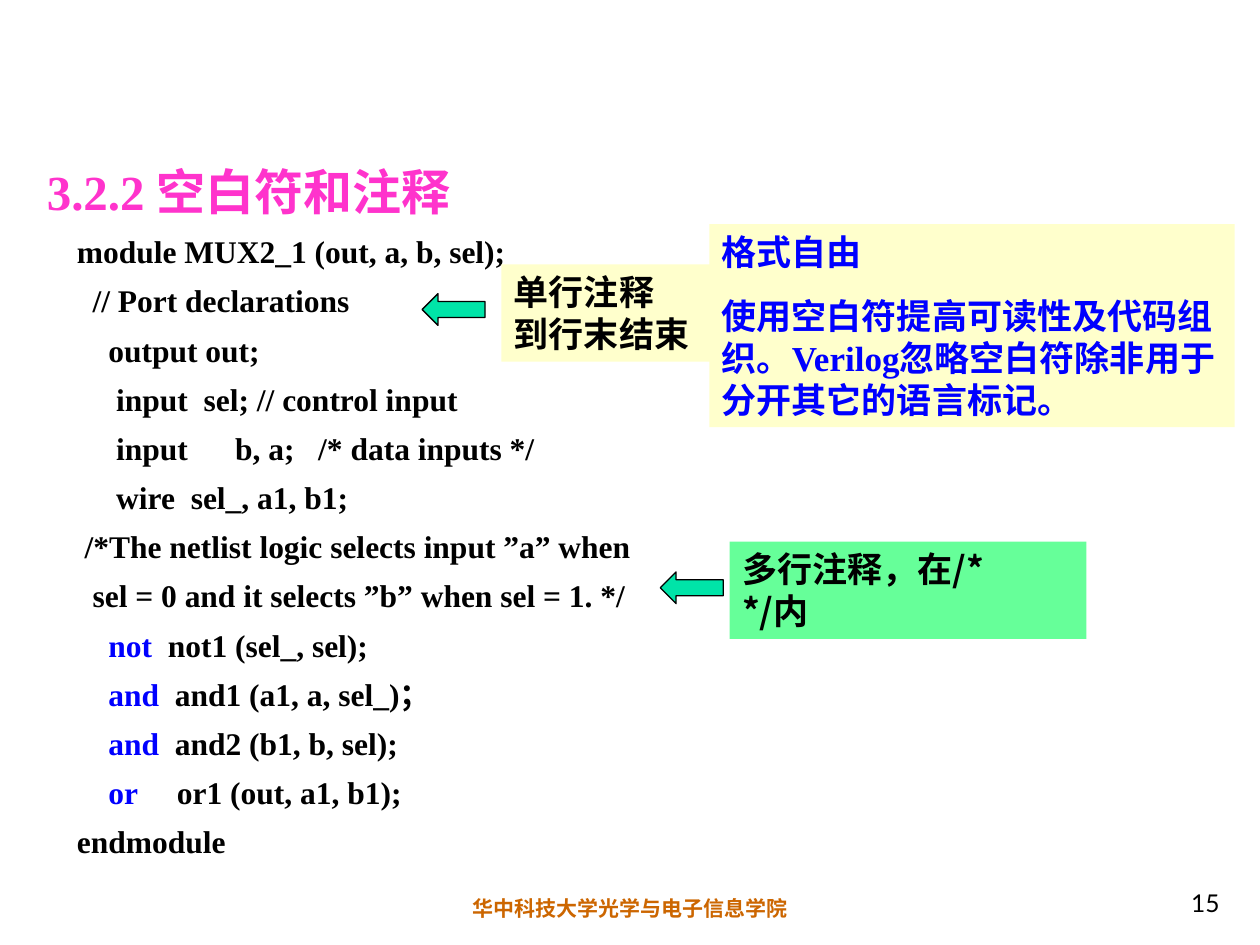
from lxml import etree
from pptx import Presentation
from pptx.dml.color import RGBColor
from pptx.enum.shapes import MSO_SHAPE
from pptx.enum.text import MSO_ANCHOR, MSO_AUTO_SIZE, PP_ALIGN
from pptx.oxml.ns import qn
from pptx.util import Cm, Pt

RECT, LEFT_ARROW = MSO_SHAPE.RECTANGLE, MSO_SHAPE.LEFT_ARROW
LEFT, CENTER, RIGHT = PP_ALIGN.LEFT, PP_ALIGN.CENTER, PP_ALIGN.RIGHT
TOP, BOTTOM = MSO_ANCHOR.TOP, MSO_ANCHOR.BOTTOM

SERIF, SANS, CJK = "Times New Roman", "Lato", "Noto Sans CJK SC"
COLORS = {
    "black": "000000",
    "keyword": "0000FF",
    "title": "FF33CC",
    "footer": "CC6600",
    "cream": "FFFFCC",
    "green": "66FF99",
    "arrow": "00E4A8",
}


def add_run(paragraph, text, size, font, color="black", bold=True):
    run = paragraph.add_run()
    run.text = text
    run.font.size = Pt(size)
    run.font.bold = bold
    run.font.name = font
    run.font.color.rgb = RGBColor.from_string(COLORS[color])
    east_asian = etree.SubElement(run._r.get_or_add_rPr(), qn("a:ea"))
    east_asian.set("typeface", CJK)


def write(shape, paragraphs, size, font, align=LEFT, anchor=TOP, before=0, spacing=None):
    """Each paragraph is a list of (text, colour[, font]) runs."""
    frame = shape.text_frame
    frame.word_wrap = True
    frame.auto_size = MSO_AUTO_SIZE.NONE
    frame.vertical_anchor = anchor
    for i, runs in enumerate(paragraphs):
        paragraph = frame.add_paragraph() if i else frame.paragraphs[0]
        paragraph.alignment = align
        paragraph.space_before = Pt(before if i else 0)
        paragraph.line_spacing = spacing
        for text, color, *run_font in runs:
            add_run(paragraph, text, size, run_font[0] if run_font else font, color)


prs = Presentation()
prs.slide_width, prs.slide_height = Cm(25.4), Cm(19.05)
slide = prs.slides.add_slide(prs.slide_layouts[5])
shapes = slide.shapes

# Footer and page number
footer = shapes.add_textbox(Cm(0), Cm(17.93), Cm(25.4), Cm(0.76))
write(footer, [[("华中科技大学光学与电子信息学院", "footer")]], 12, SERIF, CENTER)

page_number = shapes.add_textbox(Cm(19.56), Cm(17.35), Cm(5.28), Cm(1.27))
write(page_number, [[("15", "black")]], 14, SANS, RIGHT, BOTTOM)
page_number.text_frame.paragraphs[0].runs[0].font.bold = False

# Title
title = shapes.title
title.left, title.top, title.width, title.height = Cm(0.69), Cm(3.12), Cm(12.01), Cm(1.45)
write(title, [[("3.2.2 空白符和注释", "title")]], 28, SERIF, anchor=BOTTOM)

# Verilog listing
code_lines = [
    [("module MUX2_1 (out, a, b, sel);", "black")],
    [("  // Port declarations", "black")],
    [("    output out;", "black")],
    [("     input  sel; // control input", "black")],
    [("     input      b, a;   /* data inputs */", "black")],
    [("     wire  sel_, a1, b1;", "black")],
    [(" /*The netlist logic selects input ”a” when", "black")],
    [("  sel = 0 and it selects ”b” when sel = 1. */", "black")],
    [("    not", "keyword"), ("  not1 (sel_, sel);", "black")],
    [("    and ", "keyword"), (" and1 (a1, a, sel_)；", "black")],
    [("    and", "keyword"), ("  and2 (b1, b, sel);", "black")],
    [("    or ", "keyword"), ("    or1 (out, a1, b1);", "black")],
    [("endmodule", "black")],
]
code = shapes.add_textbox(Cm(1.3), Cm(4.52), Cm(17.35), Cm(12.57))
write(code, code_lines, 18, SERIF, before=5.4, spacing=1.05)

# Notes beside the listing
free_format = [
    [("格式自由", "keyword")],
    [
        ("使用空白符提高可读性及代码组织。", "keyword"),
        ("Verilog", "keyword", SERIF),
        ("忽略空白符除非用于分开其它的语言标记。", "keyword"),
    ],
]
block_comment = [[("多行注释，在/*", "black")], [("*/内", "black")]]
line_comment = [[("单行注释", "black")], [("到行末结束", "black")]]
notes = [
    (14.3, 4.52, 10.59, 4.09, "cream", free_format, CJK, 12.5),
    (14.71, 10.92, 7.19, 1.96, "green", block_comment, CJK, 0),
    (10.11, 5.33, 4.24, 1.96, "cream", line_comment, SANS, 0),
]
for left, top, width, height, fill, paragraphs, font, before in notes:
    note = shapes.add_shape(RECT, Cm(left), Cm(top), Cm(width), Cm(height))
    note.shadow.inherit = False
    note.fill.solid()
    note.fill.fore_color.rgb = RGBColor.from_string(COLORS[fill])
    note.line.fill.background()
    write(note, paragraphs, 20, font, before=before)

# Arrows pointing from the notes to the comments
for left, top in [(13.31, 11.53), (8.51, 5.92)]:
    arrow = shapes.add_shape(LEFT_ARROW, Cm(left), Cm(top), Cm(1.27), Cm(0.64))
    arrow.shadow.inherit = False
    arrow.fill.solid()
    arrow.fill.fore_color.rgb = RGBColor.from_string(COLORS["arrow"])
    arrow.line.color.rgb = RGBColor.from_string(COLORS["black"])
    arrow.line.width = Pt(0.75)

prs.save("out.pptx")
